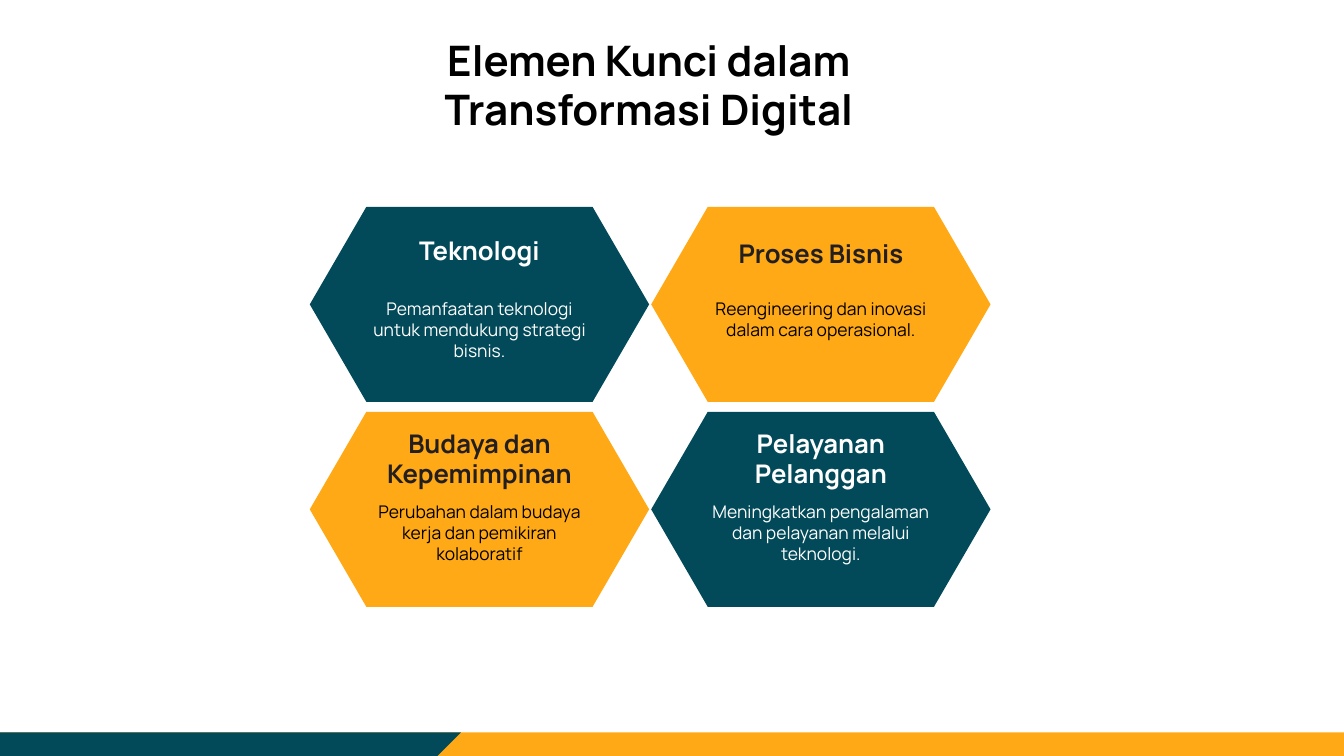
from pptx import Presentation
from pptx.dml.color import RGBColor as RGB
from pptx.enum.shapes import MSO_SHAPE as SHAPE
from pptx.enum.text import MSO_ANCHOR as ANCHOR, MSO_AUTO_SIZE as FIT, PP_ALIGN as ALIGN
from pptx.util import Inches as In, Pt

COLORS = {"teal": "024A59", "orange": "FFA916", "white": "FFFFFF",
          "black": "000000", "ink": "231F20"}
FRAME = {"margin_left": 0, "margin_right": 0, "margin_top": 0, "margin_bottom": 0,
         "word_wrap": True, "auto_size": FIT.NONE, "vertical_anchor": ANCHOR.TOP}
# Font formats and line spacing in points
TITLE = {"name": "Manrope", "size": Pt(45), "bold": True}, 51.7
HEAD = {"name": "Manrope", "size": Pt(27.5), "bold": True}, 31.6
BODY = {"name": "Manrope", "size": Pt(18.7), "bold": False}, 22.5


def paint(sp, color):
    sp.shadow.inherit = False
    sp.fill.solid()
    sp.fill.fore_color.rgb = RGB.from_string(COLORS[color])
    sp.line.fill.background()


def write(sp, text, style, color):
    font, spacing = style
    tf = sp.text_frame
    for key, value in FRAME.items():
        setattr(tf, key, value)
    p = tf.paragraphs[0]
    p.alignment, p.line_spacing = ALIGN.CENTER, Pt(spacing)
    r = p.add_run()
    r.text = text
    for key, value in font.items():
        setattr(r.font, key, value)
    r.font.color.rgb = RGB.from_string(COLORS[color])


prs = Presentation()
W, H = 20, 11.25
prs.slide_width, prs.slide_height = In(W), In(H)
s = prs.slides.add_slide(prs.slide_layouts[5])

# Title
sp = s.shapes.title
sp.left, sp.top, sp.width, sp.height = In(6.17), In(0.55), In(6.97), In(1.49)
write(sp, "Elemen Kunci dalam Transformasi Digital", TITLE, "black")

# Grid of hexagons: column and row pitch, hexagon size
X0, Y0, COL, ROW = 4.61, 3.08, 5.08, 3.05
HEX_W, HEX_H = 5.05, 2.9

# column, row, fill, heading, heading offset, heading colour,
# body, body offset, body width, body colour
elements = [
    (0, 0, "teal", "Teknologi", 0.43, "white",
     "Pemanfaatan teknologi untuk mendukung strategi bisnis.", 1.36, 3.35, "white"),
    (0, 1, "orange", "Budaya dan Kepemimpinan", 0.26, "ink",
     "Perubahan dalam budaya kerja dan pemikiran kolaboratif", 1.32, 3.35, "black"),
    (1, 0, "orange", "Proses Bisnis", 0.48, "ink",
     "Reengineering dan inovasi dalam cara operasional.", 1.36, 3.38, "black"),
    (1, 1, "teal", "Pelayanan Pelanggan", 0.26, "white",
     "Meningkatkan pengalaman dan pelayanan melalui teknologi.", 1.32, 3.72, "white"),
]
for col, row, fill, head, head_dy, head_color, body, body_dy, body_w, body_color in elements:
    x, y = X0 + col * COL, Y0 + row * ROW
    sp = s.shapes.add_shape(SHAPE.HEXAGON, In(x), In(y), In(HEX_W), In(HEX_H))
    sp.adjustments[0] = 0.29
    paint(sp, fill)
    # Heading and body are centred on the hexagon
    for text, style, color, dy, w, h in (
            (head, HEAD, head_color, head_dy, 3.15, 0.91),
            (body, BODY, body_color, body_dy, body_w, 0.93)):
        box = s.shapes.add_textbox(In(x + (HEX_W - w) / 2), In(y + dy), In(w), In(h))
        write(box, text, style, color)

# Footer band with a slanted teal part
BAND_Y, SLANT_X = 10.9, 6.86
band_h = H - BAND_Y
sp = s.shapes.add_shape(SHAPE.RECTANGLE, 0, In(BAND_Y), In(W), In(band_h))
paint(sp, "orange")
fb = s.shapes.build_freeform(0, In(BAND_Y))
fb.add_line_segments([(In(SLANT_X), In(BAND_Y)), (In(SLANT_X - band_h), In(H)),
                      (0, In(H))], close=True)
paint(fb.convert_to_shape(), "teal")

prs.save("out.pptx")
